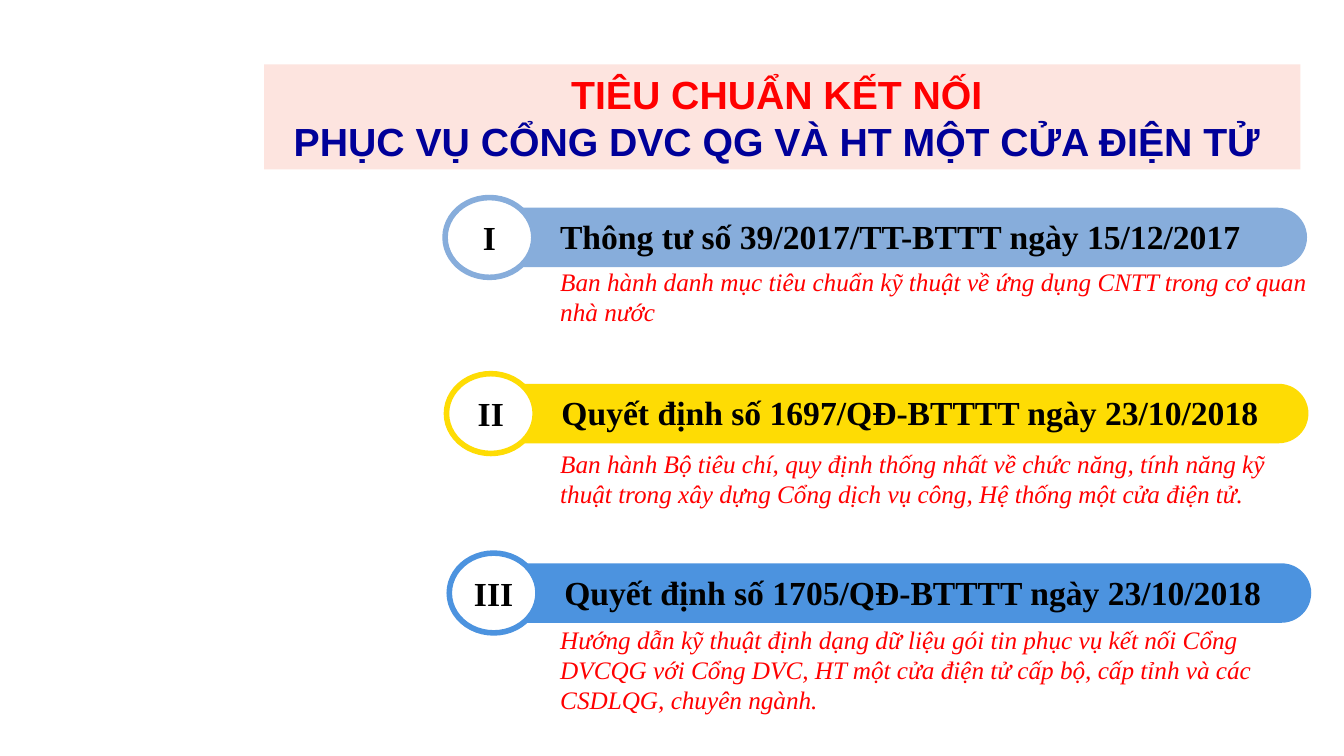
"""Build a slide listing three legal documents on connection standards."""
import dataclasses

import pptx
import pptx.dml.color
import pptx.enum.shapes
import pptx.enum.text
import pptx.util

Pt = pptx.util.Pt
Form = pptx.enum.shapes.MSO_SHAPE
Align = pptx.enum.text.PP_ALIGN
Anchor = pptx.enum.text.MSO_ANCHOR


@dataclasses.dataclass(frozen=True)
class Theme:
    """Colours, fonts and type sizes."""
    black: str = "000000"
    white: str = "FFFFFF"
    red: str = "FF0000"
    navy: str = "000099"
    blush: str = "FDE4DF"
    rows: tuple = ("87ADDB", "FEDC04", "4C93DF")
    sans: str = "Arial"
    serif: str = "Times New Roman"
    title: int = 28
    head: int = 24
    note: int = 18


class Deck:
    """Holds the theme and the current slide."""

    def __init__(self, theme):
        """Start a wide deck with one blank slide."""
        self.theme = theme
        self.show = pptx.Presentation()
        self.show.slide_width, self.show.slide_height = Pt(960), Pt(540)
        self.slide = self.show.slides.add_slide(self.show.slide_layouts[6])

    def tint(self, code):
        """Return the colour for a hex code."""
        return pptx.dml.color.RGBColor.from_string(code)

    def shape(self, form, box, fill, line=None):
        """Add a filled shape, outlined if a line colour is given."""
        item = self.slide.shapes.add_shape(form, *map(Pt, box))
        item.shadow.inherit = False
        item.fill.solid()
        item.fill.fore_color.rgb = self.tint(fill)
        if line:
            item.line.color.rgb = self.tint(line)
            item.line.width = Pt(4)
        else:
            item.line.fill.background()
        return item

    def letter(self, item, lines, size, face, align=Align.LEFT,
               bold=False, slant=False):
        """Put (text, colour) lines into a shape."""
        frame = item.text_frame
        frame.word_wrap = True
        for num, (text, code) in enumerate(lines):
            para = frame.add_paragraph() if num else frame.paragraphs[0]
            para.alignment = align
            run = para.add_run()
            run.text = text
            font = run.font
            font.name, font.size = face, Pt(size)
            font.bold, font.italic = bold, slant
            font.color.rgb = self.tint(code)

    def label(self, box, text, code, size, anchor=Anchor.MIDDLE, **style):
        """Add a serif text box."""
        item = self.slide.shapes.add_textbox(*map(Pt, box))
        item.text_frame.vertical_anchor = anchor
        self.letter(item, [(text, code)], size, self.theme.serif, **style)

    def bar(self, left, mid, wide, high, fill):
        """Add a bar whose right end is round."""
        box = (left + (wide - high) / 2, mid - wide / 2, high, wide)
        item = self.shape(Form.ROUND_2_SAME_RECTANGLE, box, fill)
        item.adjustments[0], item.adjustments[1] = 0.5, 0
        item.rotation = 90

    def entry(self, left, mid, fill, mark, head):
        """Add a bar with its numbered disc and heading."""
        look = self.theme
        self.bar(left, mid, 584, 42.5, fill)
        self.shape(Form.OVAL, (left - 31.7, mid - 28.5, 63.4, 57),
                   look.white, fill)
        self.label((left - 31.3, mid - 14.4, 62.6, 28.8), mark, look.black,
                   look.head, align=Align.CENTER, bold=True)
        self.label((left + 43.4, mid - 19, 522, 36), head, look.black,
                   look.head, bold=True)

    def note(self, top, high, text):
        """Add a red italic description."""
        self.label((393.1, top, 549.4, high), text, self.theme.red,
                   self.theme.note, anchor=Anchor.TOP, slant=True)

    def banner(self, box, lines):
        """Add the tinted title block."""
        look = self.theme
        item = self.shape(Form.RECTANGLE, box, look.blush)
        self.letter(item, lines, look.title, look.sans, Align.CENTER, True)


def main():
    """Build and save the slide."""
    look = Theme()
    deck = Deck(look)
    deck.banner((188.6, 46.1, 740.2, 74.9), [
        ("TIÊU CHUẨN KẾT NỐI ", look.red),
        ("PHỤC VỤ CỔNG DVC QG VÀ HT MỘT CỬA ĐIỆN TỬ ", look.navy)])
    rows = [
        (349.6, 169.6, "I", "Thông tư số 39/2017/TT-BTTT ngày 15/12/2017",
         186.5, 51, "Ban hành danh mục tiêu chuẩn kỹ thuật về ứng dụng CNTT "
         "trong cơ quan nhà nước"),
        (350.6, 295.4, "II", "Quyết định số 1697/QĐ-BTTTT ngày 23/10/2018",
         316.8, 51, "Ban hành Bộ tiêu chí, quy định thống nhất về chức năng, "
         "tính năng kỹ thuật trong xây dựng Cổng dịch vụ công, "
         "Hệ thống một cửa điện tử."),
        (352.6, 423.6, "III", "Quyết định số 1705/QĐ-BTTTT ngày 23/10/2018",
         442.1, 72.7, "Hướng dẫn kỹ thuật định dạng dữ liệu gói tin phục vụ "
         "kết nối Cổng DVCQG với Cổng DVC, HT một cửa điện tử cấp bộ, "
         "cấp tỉnh và các CSDLQG, chuyên ngành."),
    ]
    for fill, (left, mid, mark, head, top, high, text) in zip(look.rows, rows):
        deck.entry(left, mid, fill, mark, head)
        deck.note(top, high, text)
    deck.show.save("out.pptx")


if __name__ == "__main__":
    main()
